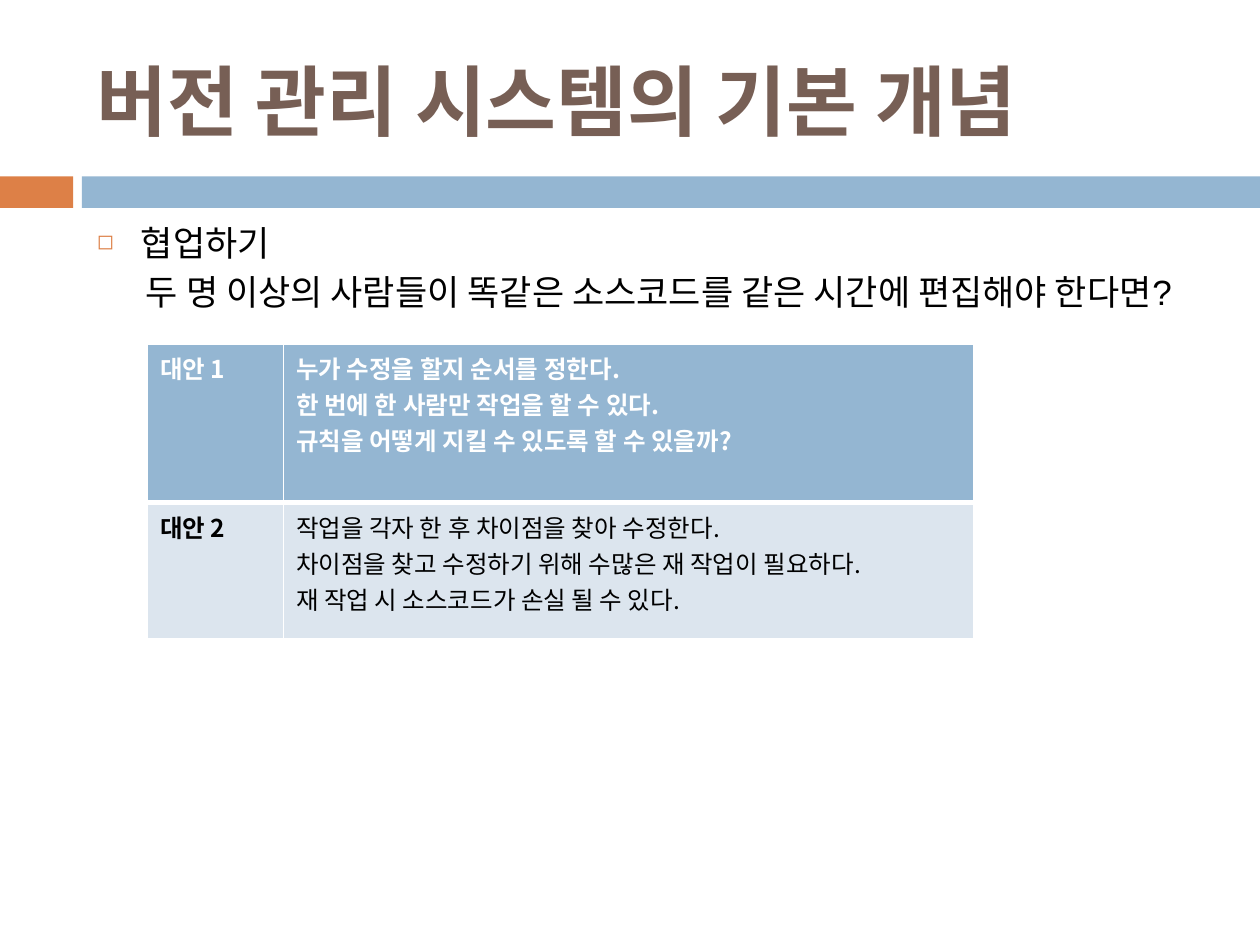
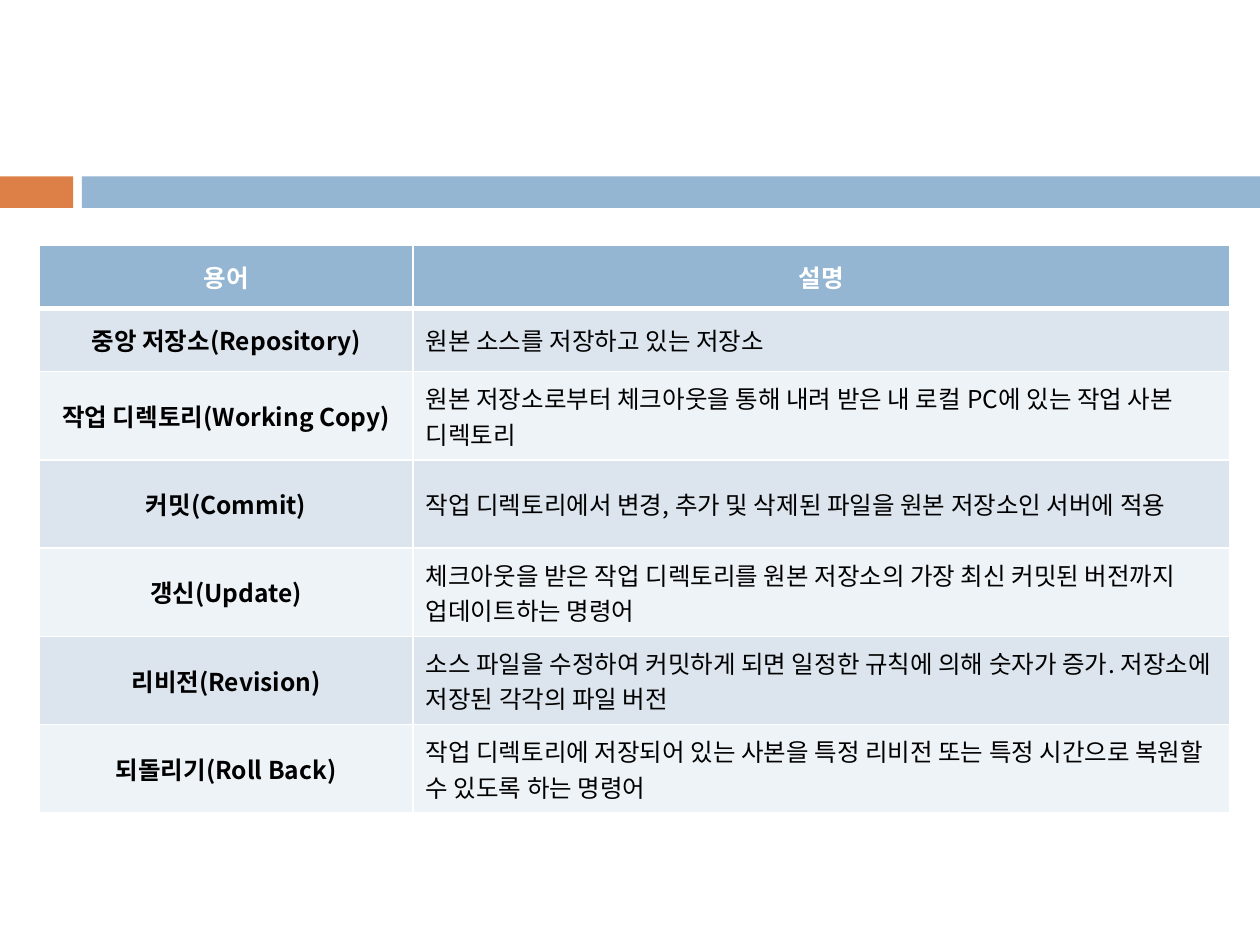
import dataclasses

import lxml.etree
import pptx
import pptx.dml.color
import pptx.enum.shapes
import pptx.enum.text
import pptx.oxml.ns
import pptx.util

Inches = pptx.util.Inches
Pt = pptx.util.Pt
qn = pptx.oxml.ns.qn
CENTER = pptx.enum.text.PP_ALIGN.CENTER
LEFT = pptx.enum.text.PP_ALIGN.LEFT
MIDDLE = pptx.enum.text.MSO_ANCHOR.MIDDLE
TOP = pptx.enum.text.MSO_ANCHOR.TOP


@dataclasses.dataclass(frozen=True)
class Theme:
    orange: str = "DD8047"
    blue: str = "94B6D2"
    brown: str = "775F55"
    black: str = "000000"
    white: str = "FFFFFF"
    stripes: tuple = ("DCE5EE", "EEF3F7")
    korean_font: str = "Noto Sans CJK KR"
    latin_font: str = "Arial"
    title_size: int = 44
    body_size: int = 20
    table_size: int = 14


theme = Theme()


def style_text(text_frame, size, color, bold=False, font=theme.korean_font):
    """Format every run; Korean letters always use the Korean font."""
    for paragraph in text_frame.paragraphs:
        for run in paragraph.runs:
            run.font.size = Pt(size)
            run.font.bold = bold
            run.font.name = font
            run.font.color.rgb = pptx.dml.color.RGBColor.from_string(color)
            east_asian = lxml.etree.Element(qn("a:ea"), typeface=theme.korean_font)
            run.font._element.find(qn("a:latin")).addnext(east_asian)


def add_grid(slide, left, top, widths, heights, rows, centered):
    """Add a table with a blue first row, striped rows and white rules."""
    table = slide.shapes.add_table(
        len(rows), len(widths), Inches(left), Inches(top),
        Inches(sum(widths)), Inches(sum(heights))).table
    for column, width in zip(table.columns, widths):
        column.width = Inches(width)
    for r, (texts, height) in enumerate(zip(rows, heights)):
        table.rows[r].height = Inches(height)
        for c, text in enumerate(texts):
            cell = table.cell(r, c)
            cell.text_frame.text = text
            cell.vertical_anchor = MIDDLE if centered else TOP
            for paragraph in cell.text_frame.paragraphs:
                paragraph.alignment = CENTER if centered and (r == 0 or c == 0) else LEFT
            style_text(cell.text_frame, theme.table_size,
                       theme.black if r else theme.white, bold=r == 0 or c == 0)
            fill = theme.stripes[(r - 1) % 2] if r else theme.blue
            cell.fill.solid()
            cell.fill.fore_color.rgb = pptx.dml.color.RGBColor.from_string(fill)
            rules = {"lnL": 1, "lnR": 1, "lnT": 3 if r == 1 else 1, "lnB": 1 if r else 3}
            for position, (side, weight) in enumerate(rules.items()):
                rule = lxml.etree.Element(qn(f"a:{side}"), w=str(Pt(weight)))
                solid = lxml.etree.SubElement(rule, qn("a:solidFill"))
                lxml.etree.SubElement(solid, qn("a:srgbClr"), val=theme.white)
                cell._tc.get_or_add_tcPr().insert(position, rule)


deck = pptx.Presentation()
deck.slide_width, deck.slide_height = Inches(10), Inches(7.5)
concept, glossary = [deck.slides.add_slide(deck.slide_layouts[6]) for _ in range(2)]

# Band shared by both slides
for slide in (concept, glossary):
    for left, width, color in ((0, 0.58, theme.orange), (0.65, 9.35, theme.blue)):
        band = slide.shapes.add_shape(
            pptx.enum.shapes.MSO_SHAPE.RECTANGLE,
            Inches(left), Inches(1.4), Inches(width), Inches(0.25))
        band.shadow.inherit = False
        band.fill.solid()
        band.fill.fore_color.rgb = pptx.dml.color.RGBColor.from_string(color)
        band.line.fill.background()

# Slide 1: basic concept
title = concept.shapes.add_textbox(
    Inches(0.67), Inches(0.25), Inches(8.92), Inches(1.08)).text_frame
title.word_wrap = True
title.vertical_anchor = MIDDLE
title.text = "버전 관리 시스템의 기본 개념"
style_text(title, theme.title_size, theme.brown, bold=True)

question = concept.shapes.add_textbox(
    Inches(0.67), Inches(1.75), Inches(8.92), Inches(5.2)).text_frame
question.word_wrap = True
question.margin_right = 0
question.text = "협업하기\n두 명 이상의 사람들이 똑같은 소스코드를 같은 시간에 편집해야 한다면?"
style_text(question, theme.body_size, theme.black, font=theme.latin_font)
for paragraph, margin, indent in zip(question.paragraphs, (0.35, 0.39), (-0.35, 0)):
    paragraph.line_spacing = 0.9
    paragraph.space_before = Pt(6)
    properties = paragraph._p.get_or_add_pPr()
    properties.set("marL", str(Inches(margin)))
    properties.set("indent", str(Inches(indent)))
bullet = question.paragraphs[0]._p.get_or_add_pPr()
bullet_color = lxml.etree.SubElement(bullet, qn("a:buClr"))
lxml.etree.SubElement(bullet_color, qn("a:srgbClr"), val=theme.orange)
lxml.etree.SubElement(bullet, qn("a:buSzPct"), val="60000")
lxml.etree.SubElement(bullet, qn("a:buChar"), char="◻")

alternatives = [
    ("대안 1", "누가 수정을 할지 순서를 정한다.\n"
               "한 번에 한 사람만 작업을 할 수 있다.\n"
               "규칙을 어떻게 지킬 수 있도록 할 수 있을까?"),
    ("대안 2", "작업을 각자 한 후 차이점을 찾아 수정한다.\n"
               "차이점을 찾고 수정하기 위해 수많은 재 작업이 필요하다.\n"
               "재 작업 시 소스코드가 손실 될 수 있다."),
]
add_grid(concept, 1.17, 2.73, (1.08, 5.48), (1.26, 1.08), alternatives, centered=False)

# Slide 2: glossary
terms = [
    ("용어", "설명"),
    ("중앙 저장소(Repository)", "원본 소스를 저장하고 있는 저장소"),
    ("작업 디렉토리(Working Copy)",
     "원본 저장소로부터 체크아웃을 통해 내려 받은 내 로컬 PC에 있는 작업 사본 디렉토리"),
    ("커밋(Commit)",
     "작업 디렉토리에서 변경, 추가 및 삭제된 파일을 원본 저장소인 서버에 적용"),
    ("갱신(Update)",
     "체크아웃을 받은 작업 디렉토리를 원본 저장소의 가장 최신 커밋된 버전까지 업데이트하는 명령어"),
    ("리비전(Revision)",
     "소스 파일을 수정하여 커밋하게 되면 일정한 규칙에 의해 숫자가 증가. "
     "저장소에 저장된 각각의 파일 버전"),
    ("되돌리기(Roll Back)",
     "작업 디렉토리에 저장되어 있는 사본을 특정 리비전 또는 특정 시간으로 복원할 수 있도록 하는 명령어"),
]
add_grid(glossary, 0.31, 1.95, (2.97, 6.48), [0.5] * 2 + [0.7] * 5, terms, centered=True)

deck.save("out.pptx")
